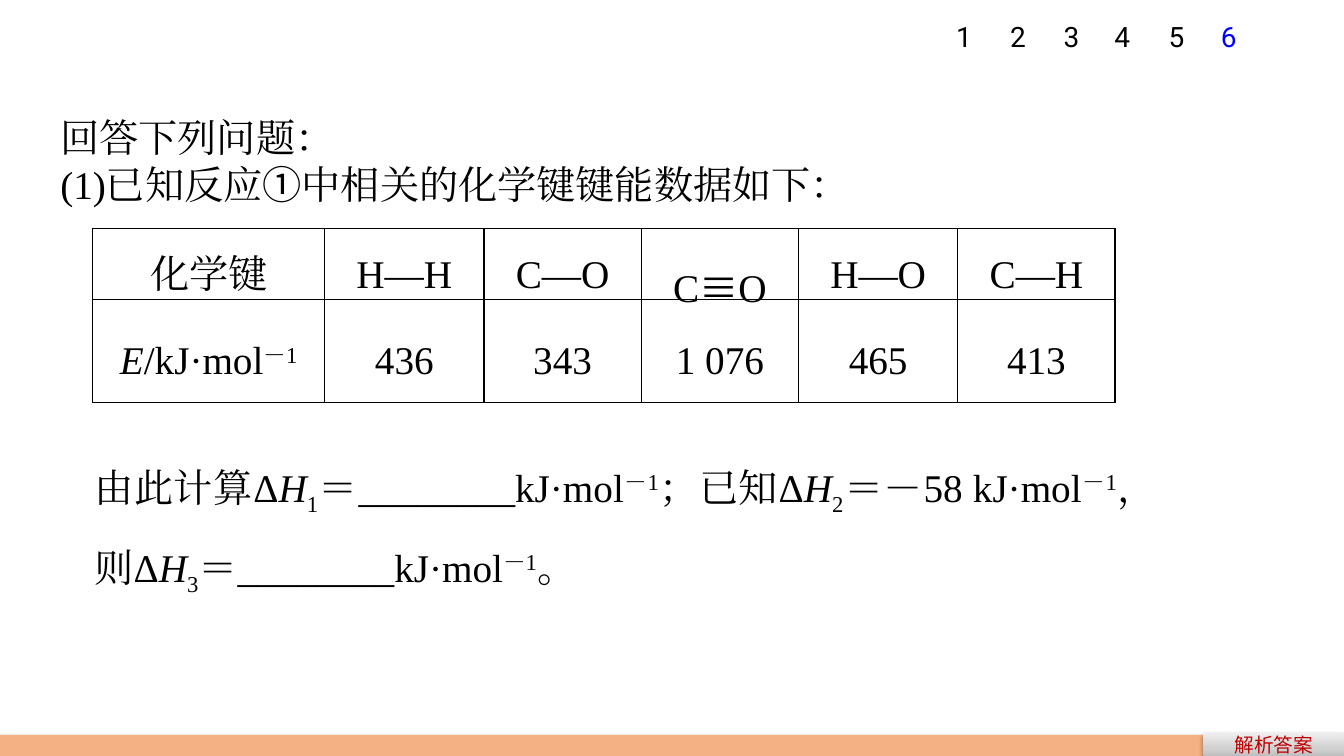
import pptx
import pptx.util
import pptx.dml.color
import pptx.enum.shapes
import pptx.enum.text
import pptx.oxml
import pptx.oxml.ns

Inches, Pt = pptx.util.Inches, pptx.util.Pt
ALIGN = pptx.enum.text.PP_ALIGN
MIDDLE = pptx.enum.text.MSO_ANCHOR.MIDDLE
SHAPES = pptx.enum.shapes.MSO_SHAPE

COLORS = {"text": "000000", "current": "0000FF", "answer": "C00000", "footer": "F4B183"}
BUTTON_STOPS = [(0, "BDBDBD"), (35, "D1D1D1"), (100, "EEEEEE")]
SERIF, SANS, DIGIT = "Times New Roman", "Noto Sans CJK SC", "Roboto"
BASELINES = {"sup": "30000", "sub": "-25000"}

# Each run is (text, style); style is "", "i", "sup", "sub" or "sans"
QUESTION = [
    [("回答下列问题：", "")],
    [("(1)已知反应", ""), ("①", "sans"), ("中相关的化学键键能数据如下：", "")],
]
UNIT = [("kJ·mol", ""), ("－1", "sup")]
CALCULATION = [
    ("由此计算Δ", ""), ("H", "i"), ("1", "sub"), ("＝________", ""), *UNIT,
    ("；已知Δ", ""), ("H", "i"), ("2", "sub"), ("＝－58 ", ""), *UNIT,
    ("，则Δ", ""), ("H", "i"), ("3", "sub"), ("＝________", ""), *UNIT, ("。", ""),
]
BOND_ENERGIES = [
    ([("化学键", "")], [("E", "i"), ("/", ""), *UNIT]),
    ([("H—H", "")], [("436", "")]),
    ([("C—O", "")], [("343", "")]),
    ([("C", ""), ("≡", "sans"), ("O", "")], [("1 076", "")]),
    ([("H—O", "")], [("465", "")]),
    ([("C—H", "")], [("413", "")]),
]
COLUMN_WIDTHS = [2.3, 1.58, 1.56, 1.56, 1.58, 1.56]
ROW_HEIGHTS = [0.7, 1.02]
PAGE_NUMBERS = [("1", 9.34, 0.43), ("2", 9.89, 0.41), ("3", 10.42, 0.38),
                ("4", 10.91, 0.43), ("5", 11.46, 0.41), ("6", 11.98, 0.38)]
CURRENT_PAGE = "6"

CELL_FORMAT = {"vertical_anchor": MIDDLE, "margin_left": Inches(0.07),
               "margin_right": Inches(0.07), "margin_top": 0, "margin_bottom": 0}
PAGE_FORMAT = {"vertical_anchor": MIDDLE, "word_wrap": False,
               "margin_left": Inches(0.13), "margin_right": Inches(0.13),
               "margin_top": Inches(0.07), "margin_bottom": Inches(0.07)}


def apply(target, values):
    for name, value in values.items():
        setattr(target, name, value)


def rgb(value):
    return pptx.dml.color.RGBColor.from_string(value)


def element(xml):
    return pptx.oxml.parse_xml(xml.replace(">", f" {pptx.oxml.ns.nsdecls('a')}>", 1))


def add_run(paragraph, text, size, face, color):
    run = paragraph.add_run()
    run.text = text
    apply(run.font, {"size": Pt(size), "name": face})
    run.font.color.rgb = rgb(color)
    run.font._element.append(element(f'<a:ea typeface="{face}"></a:ea>'))
    return run


def write_body(paragraph, runs, align, spacing=1.5):
    """Fill a paragraph with 28 pt runs in their styles."""
    apply(paragraph, {"alignment": align, "line_spacing": spacing})
    for text, style in runs:
        run = add_run(paragraph, text, 28, SANS if style == "sans" else SERIF, COLORS["text"])
        if style == "i":
            run.font.italic = True
        if style in BASELINES:
            run.font._element.set("baseline", BASELINES[style])


def add_box(slide, left, top, width, height):
    frame = slide.shapes.add_textbox(*map(Inches, (left, top, width, height))).text_frame
    frame.word_wrap = True
    return frame


def add_bond_table(slide):
    table = slide.shapes.add_table(
        len(ROW_HEIGHTS), len(COLUMN_WIDTHS), Inches(0.92), Inches(2.27),
        Inches(sum(COLUMN_WIDTHS)), Inches(sum(ROW_HEIGHTS))).table
    apply(table, {"first_row": False, "horz_banding": False})
    for column, width in zip(table.columns, COLUMN_WIDTHS):
        column.width = Inches(width)
    for row, height in zip(table.rows, ROW_HEIGHTS):
        row.height = Inches(height)
    for c, bond in enumerate(BOND_ENERGIES):
        for r, runs in enumerate(bond):
            cell = table.cell(r, c)
            apply(cell, CELL_FORMAT)
            write_body(cell.text_frame.paragraphs[0], runs, ALIGN.CENTER)
            properties = cell._tc.get_or_add_tcPr()
            for side in ("lnL", "lnR", "lnT", "lnB"):
                properties.append(element(
                    f'<a:{side} w="12700"><a:solidFill><a:srgbClr val="{COLORS["text"]}"/>'
                    f'</a:solidFill></a:{side}>'))
            cell.fill.background()


def add_footer_shape(slide, preset, left, top, width, height):
    """Add a borderless shape with a soft shadow below it."""
    shape = slide.shapes.add_shape(preset, *map(Inches, (left, top, width, height)))
    shape.fill.solid()
    shape.fill.fore_color.rgb = rgb(COLORS["footer"])
    shape.line.fill.background()
    shape._element.spPr.append(element(
        '<a:effectLst><a:outerShdw blurRad="39370" dist="20320" dir="5400000" rotWithShape="0">'
        '<a:srgbClr val="000000"><a:alpha val="38000"/></a:srgbClr></a:outerShdw></a:effectLst>'))
    return shape


def add_answer_button(slide):
    button = add_footer_shape(slide, SHAPES.ROUNDED_RECTANGLE, 11.93, 7.27, 1.41, 0.24)
    stops = "".join(f'<a:gs pos="{place * 1000}"><a:srgbClr val="{color}"/></a:gs>'
                    for place, color in BUTTON_STOPS)
    properties = button._element.spPr
    properties.replace(properties.find(pptx.oxml.ns.qn("a:solidFill")), element(
        f'<a:gradFill><a:gsLst>{stops}</a:gsLst><a:lin ang="16200000" scaled="1"/></a:gradFill>'))
    button.text_frame.vertical_anchor = MIDDLE
    label = button.text_frame.paragraphs[0]
    label.alignment = ALIGN.CENTER
    add_run(label, "解析答案", 14, SANS, COLORS["answer"])


def main():
    deck = pptx.Presentation()
    apply(deck, {"slide_width": Inches(13.33), "slide_height": Inches(7.5)})
    slide = deck.slides.add_slide(deck.slide_layouts[6])

    question = add_box(slide, 0.5, 0.84, 12.35, 1.28)
    write_body(question.paragraphs[0], QUESTION[0], ALIGN.JUSTIFY)
    write_body(question.add_paragraph(), QUESTION[1], ALIGN.LEFT, 1.0)
    add_bond_table(slide)
    calculation = add_box(slide, 0.84, 4.28, 10.73, 1.76)
    write_body(calculation.paragraphs[0], CALCULATION, ALIGN.JUSTIFY)

    for number, left, width in PAGE_NUMBERS:
        page = add_box(slide, left, 0.05, width, 0.63)
        apply(page, PAGE_FORMAT)
        page.paragraphs[0].alignment = ALIGN.RIGHT
        color = COLORS["current" if number == CURRENT_PAGE else "text"]
        add_run(page.paragraphs[0], number, 20, DIGIT, color)

    add_footer_shape(slide, SHAPES.RECTANGLE, 0, 7.29, 13.34, 0.21)
    add_answer_button(slide)
    deck.save("out.pptx")


if __name__ == "__main__":
    main()
